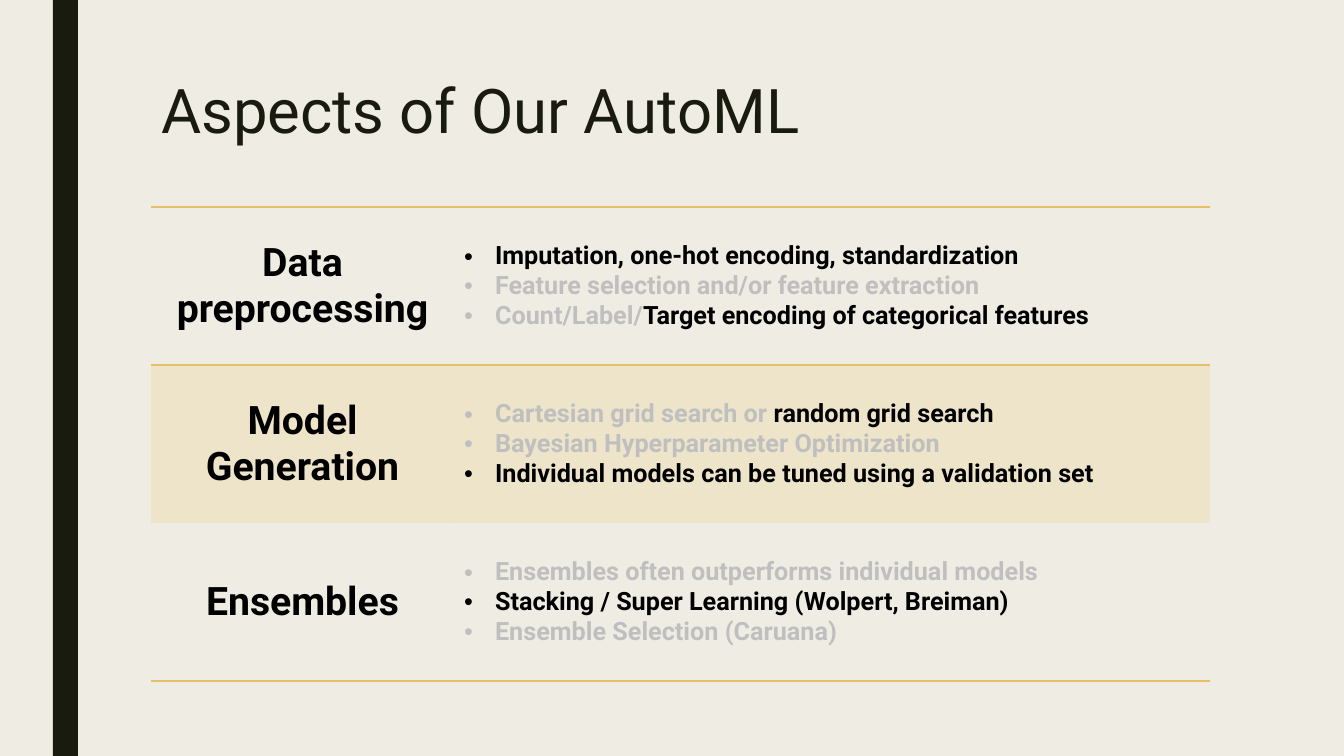
from lxml import etree
from pptx import Presentation
from pptx.dml.color import RGBColor
from pptx.enum.shapes import MSO_SHAPE
from pptx.enum.text import MSO_ANCHOR, MSO_AUTO_SIZE, PP_ALIGN
from pptx.oxml.ns import qn
from pptx.util import Pt

EMU_PER_PX = 12192000 / 1344
RECTANGLE = MSO_SHAPE.RECTANGLE
TOP, MIDDLE = MSO_ANCHOR.TOP, MSO_ANCHOR.MIDDLE
LEFT, CENTER = PP_ALIGN.LEFT, PP_ALIGN.CENTER
NO_AUTOFIT = MSO_AUTO_SIZE.NONE
PLAIN_TABLE_STYLE = "{2D5ABB26-0587-4C30-8999-92F81FD0307C}"
COLORS = {"paper": "EFEDE3", "ink": "191B0E", "gold": "E6C069",
          "used": "000000", "unused": "BFBFBF"}

# Each aspect: heading, then bullets made of (text, color) parts
ASPECTS = [
    ("Data preprocessing", [
        [("Imputation, one-hot encoding, standardization", "used")],
        [("Feature selection and/or feature extraction", "unused")],
        [("Count/Label/", "unused"),
         ("Target encoding of categorical features", "used")],
    ]),
    ("Model Generation", [
        [("Cartesian grid search or", "unused"), (" random grid search", "used")],
        [("Bayesian Hyperparameter Optimization", "unused")],
        [("Individual models can be tuned using a validation set", "used")],
    ]),
    ("Ensembles", [
        [("Ensembles often outperforms individual models", "unused")],
        [("Stacking / Super Learning (Wolpert, Breiman)", "used")],
        [("Ensemble Selection (Caruana)", "unused")],
    ]),
]


def px(length):
    return round(length * EMU_PER_PX)


def rgb(name):
    return RGBColor.from_string(COLORS[name])


class SlideBuilder:
    font = "Roboto"

    def __init__(self, slide):
        self.slide = slide
        background = slide.background.fill
        background.solid()
        background.fore_color.rgb = rgb("paper")

    def add_run(self, paragraph, text, size, color, bold=False):
        run = paragraph.add_run()
        run.text = text
        run.font.name = self.font
        run.font.size = Pt(size)
        run.font.bold = bold
        run.font.color.rgb = rgb(color)

    def add_bar(self, left, top, width, height):
        bar = self.slide.shapes.add_shape(
            RECTANGLE, px(left), px(top), px(width), px(height))
        bar.shadow.inherit = False
        bar.fill.solid()
        bar.fill.fore_color.rgb = rgb("ink")
        bar.line.fill.background()

    def set_title(self, text, left, top, width, height):
        title = self.slide.shapes.title
        title.left, title.top = px(left), px(top)
        title.width, title.height = px(width), px(height)
        frame = title.text_frame
        frame.auto_size = NO_AUTOFIT
        frame.vertical_anchor = TOP
        heading = frame.paragraphs[0]
        heading.alignment = LEFT
        heading.line_spacing = 0.89
        self.add_run(heading, text, 44, "ink")

    def add_bullet(self, paragraph, parts):
        properties = paragraph._p.get_or_add_pPr()
        properties.set("marL", str(px(31)))
        properties.set("indent", str(-px(31)))
        etree.SubElement(properties, qn("a:buFont"), typeface="Arial")
        etree.SubElement(properties, qn("a:buChar"), char="•")
        for text, color in parts:
            self.add_run(paragraph, text, 18, color, bold=True)

    def format_cell(self, cell, tinted, ruled_sides):
        """Set the fill, then put the border lines before it, as the schema asks."""
        cell.vertical_anchor = MIDDLE
        properties = cell._tc.get_or_add_tcPr()
        if tinted:
            cell.fill.solid()
            cell.fill.fore_color.rgb = rgb("gold")
            tint = properties.find(".//" + qn("a:srgbClr"))
            etree.SubElement(tint, qn("a:alpha"), val="20000")
        else:
            cell.fill.background()
        for position, side in enumerate("LRTB"):
            border = etree.Element(qn(f"a:ln{side}"), w=str(Pt(1)))
            if side in ruled_sides:
                fill = etree.SubElement(border, qn("a:solidFill"))
                etree.SubElement(fill, qn("a:srgbClr"), val=COLORS["gold"])
            else:
                etree.SubElement(border, qn("a:noFill"))
            properties.insert(position, border)

    def add_aspect_table(self, aspects, left, top, column_widths, row_height):
        frame = self.slide.shapes.add_table(
            len(aspects), len(column_widths), px(left), px(top),
            px(sum(column_widths)), px(row_height * len(aspects)))
        table = frame.table
        table.first_row = table.horz_banding = False
        table._tbl.tblPr.find(qn("a:tableStyleId")).text = PLAIN_TABLE_STYLE
        for column, width in zip(table.columns, column_widths):
            column.width = px(width)
        ruled_sides = ["TB", "T", "B"]
        for index, (heading, bullets) in enumerate(aspects):
            table.rows[index].height = px(row_height)
            heading_cell, bullet_cell = table.rows[index].cells
            for cell in (heading_cell, bullet_cell):
                self.format_cell(cell, index % 2 == 1, ruled_sides[index])
            name = heading_cell.text_frame.paragraphs[0]
            name.alignment = CENTER
            self.add_run(name, heading, 28, "used", bold=True)
            points = bullet_cell.text_frame
            for number, parts in enumerate(bullets):
                point = points.add_paragraph() if number else points.paragraphs[0]
                self.add_bullet(point, parts)


def main():
    deck = Presentation()
    deck.slide_width, deck.slide_height = px(1344), px(756)
    title_only = deck.slide_layouts[5]
    builder = SlideBuilder(deck.slides.add_slide(title_only))
    builder.add_bar(53, 0, 25, 756)
    builder.set_title("Aspects of Our AutoML", 151, 76, 1058, 163)
    builder.add_aspect_table(ASPECTS, 151, 207, [303, 756], 158)
    deck.save("out.pptx")


if __name__ == "__main__":
    main()
